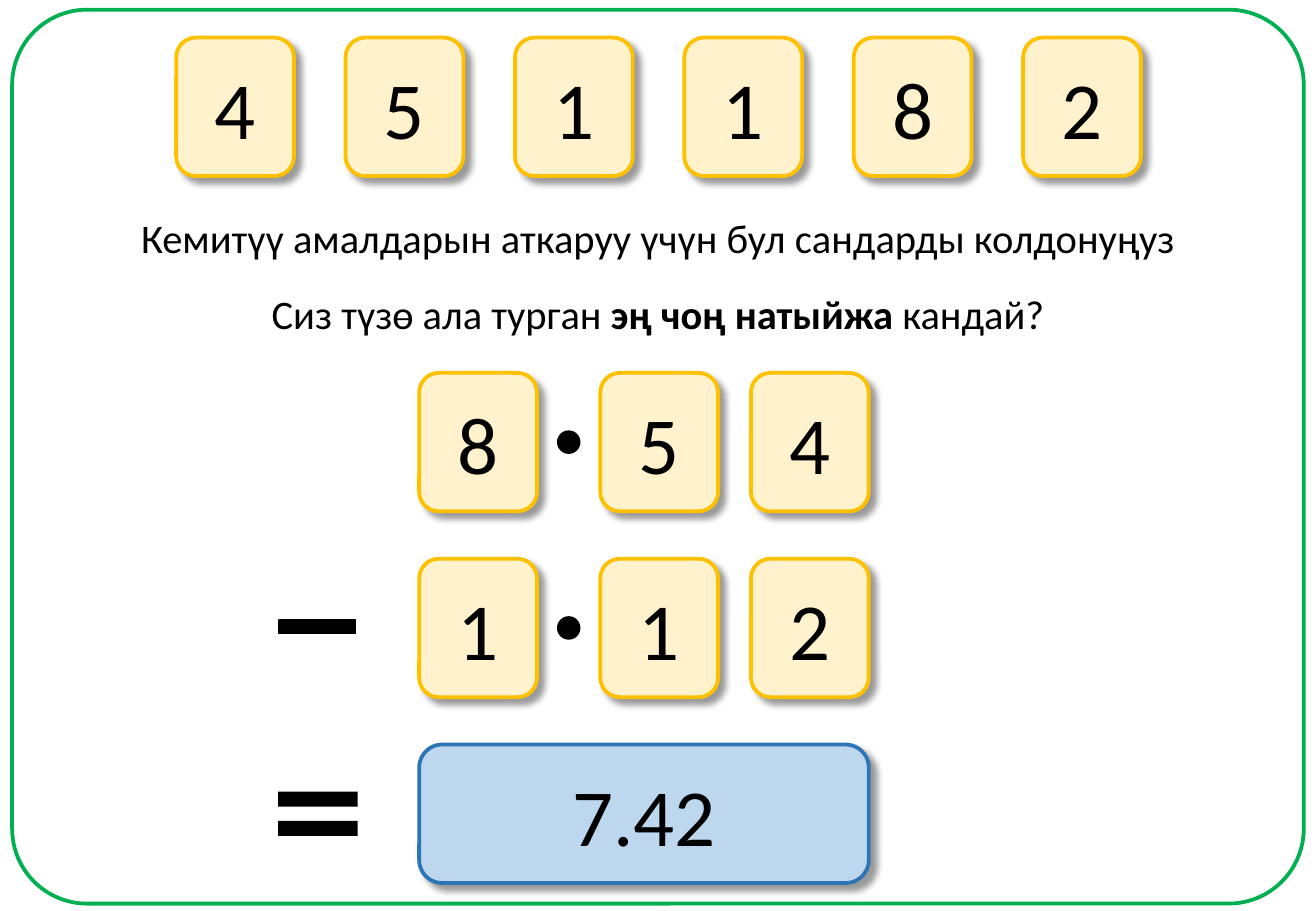
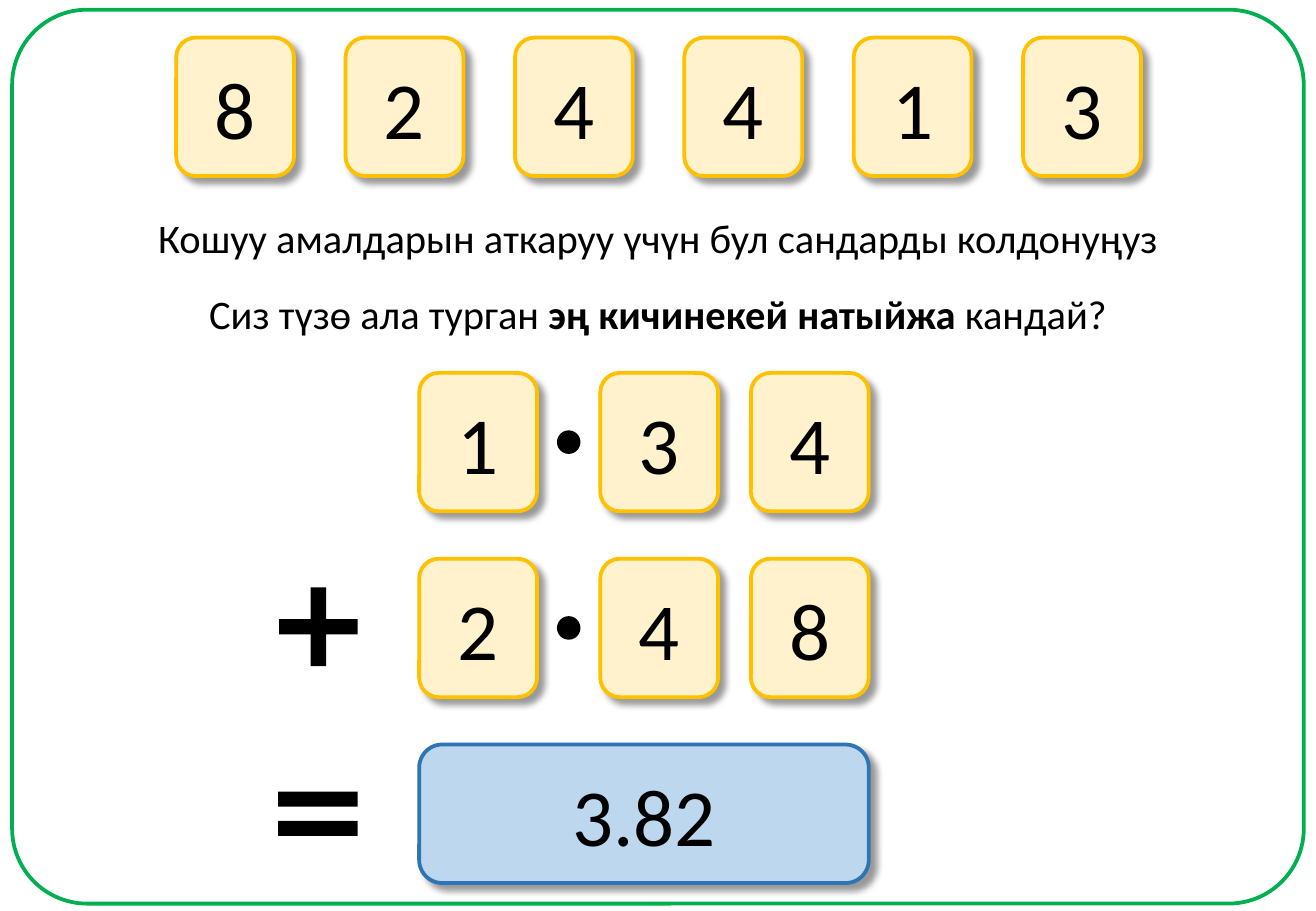
from pptx import Presentation
from pptx.dml.color import RGBColor
from pptx.enum.shapes import MSO_SHAPE
from pptx.enum.text import MSO_ANCHOR, MSO_AUTO_SIZE, PP_ALIGN
from pptx.oxml import parse_xml
from pptx.oxml.ns import nsdecls, qn
from pptx.util import Inches, Pt

BLACK = RGBColor(0x00, 0x00, 0x00)
GREEN = RGBColor(0x00, 0xB0, 0x50)
CREAM = RGBColor(0xFF, 0xF2, 0xCC)
AMBER = RGBColor(0xFF, 0xC0, 0x00)
PALE_BLUE = RGBColor(0xBD, 0xD7, 0xEE)
DARK_BLUE = RGBColor(0x2E, 0x75, 0xB6)

SLIDE_WIDTH, SLIDE_HEIGHT = 10.83, 7.5
CARD_WIDTH, CARD_HEIGHT = 0.97, 1.14
BANK_LEFT, BANK_TOP, BANK_PITCH = 1.45, 0.31, 1.394
DIGIT_COLUMNS = (3.45, 4.94, 6.18)
FIRST_ROW, ROW_PITCH = 3.07, 1.53
SUM_ROWS = [FIRST_ROW + ROW_PITCH * row for row in range(3)]
RESULT_WIDTH = DIGIT_COLUMNS[-1] + CARD_WIDTH - DIGIT_COLUMNS[0]
DOT_LEFT, DOT_DROP, DOT_SIZE = 4.59, 0.48, 0.18
TEXT_LEFT, TEXT_WIDTH, TEXT_HEIGHT = 0.8, SLIDE_WIDTH - 1.6, 0.5
TITLE_TOP, QUESTION_TOP = 1.7, 2.33

SHADOW = (
    f'<a:outerShdw {nsdecls("a")} blurRad="{Pt(4)}" dist="{Pt(5)}" dir="2700000" '
    'algn="tl" rotWithShape="0"><a:srgbClr val="000000">'
    '<a:alpha val="40000"/></a:srgbClr></a:outerShdw>'
)
CARD = {"fill": CREAM, "line": AMBER, "shadow": True}
RESULT = {"fill": PALE_BLUE, "line": DARK_BLUE, "shadow": True}

TASKS = [
    {
        "title": "Кемитүү амалдарын аткаруу үчүн бул сандарды колдонуңуз",
        "emphasis": "эң чоң натыйжа ",
        "bank": "451182",
        "terms": ("854", "112"),
        "result": "7.42",
        "sign": (MSO_SHAPE.MATH_MINUS, (2.18, 4.73, 0.86, 0.86)),
        "sign_format": {"line": BLACK, "weight": 1, "adjustments": (0.132,)},
    },
    {
        "title": "Кошуу амалдарын аткаруу үчүн бул сандарды колдонуңуз",
        "emphasis": "эң кичинекей натыйжа ",
        "bank": "824413",
        "terms": ("134", "248"),
        "result": "3.82",
        "sign": (MSO_SHAPE.MATH_PLUS, (2.18, 4.72, 0.88, 0.88)),
        "sign_format": {"adjustments": (0.144,)},
    },
]


def write_text(text_frame, runs, size):
    """Write one centred paragraph from (text, bold) pairs."""
    paragraph = text_frame.paragraphs[0]
    paragraph.alignment = PP_ALIGN.CENTER
    for text, bold in runs:
        run = paragraph.add_run()
        run.text = text
        run.font.color.rgb = BLACK
        for name, value in {"name": "Calibri", "size": Pt(size), "bold": bold}.items():
            setattr(run.font, name, value)


def add_figure(slide, kind, box, fill=None, line=None, weight=2.25,
               shadow=False, adjustments=(), text=""):
    shape = slide.shapes.add_shape(kind, *map(Inches, box))
    for index, value in enumerate(adjustments):
        shape.adjustments[index] = value
    if fill is None:
        shape.fill.background()
    else:
        shape.fill.solid()
        shape.fill.fore_color.rgb = fill
    if line is None:
        shape.line.fill.background()
    else:
        shape.line.color.rgb = line
        shape.line.width = Pt(weight)
    shape.shadow.inherit = False
    if shadow:
        shape._element.spPr.find(qn("a:effectLst")).append(parse_xml(SHADOW))
    if text:
        shape.text_frame.vertical_anchor = MSO_ANCHOR.MIDDLE
        write_text(shape.text_frame, [(text, False)], 48)


presentation = Presentation()
presentation.slide_width = Inches(SLIDE_WIDTH)
presentation.slide_height = Inches(SLIDE_HEIGHT)

# Shared title position
layout = presentation.slide_layouts.get_by_name("Title Only")
title_format = {"left": TEXT_LEFT, "top": TITLE_TOP,
                "width": TEXT_WIDTH, "height": TEXT_HEIGHT}
for name, value in title_format.items():
    setattr(layout.placeholders[0], name, Inches(value))

for task in TASKS:
    slide = presentation.slides.add_slide(layout)

    # Frame
    add_figure(slide, MSO_SHAPE.ROUNDED_RECTANGLE, (0.1, 0.08, 10.63, 7.36),
               line=GREEN, adjustments=(0.084,))

    # Instruction and question
    title = slide.shapes.title.text_frame
    write_text(title, [(task["title"], False)], 24)
    question = slide.shapes.add_textbox(
        *map(Inches, (TEXT_LEFT, QUESTION_TOP, TEXT_WIDTH, TEXT_HEIGHT))).text_frame
    write_text(question, [("Сиз түзө ала турган ", False), (task["emphasis"], True),
                          ("кандай?", False)], 24)
    for text_frame in (title, question):
        text_frame.word_wrap = True
        text_frame.auto_size = MSO_AUTO_SIZE.NONE
        text_frame.vertical_anchor = MSO_ANCHOR.TOP

    # Bank of digits, then the digits of the two terms
    cards = [(BANK_LEFT + BANK_PITCH * index, BANK_TOP, digit)
             for index, digit in enumerate(task["bank"])]
    for top, term in zip(SUM_ROWS, task["terms"]):
        cards += [(left, top, digit) for left, digit in zip(DIGIT_COLUMNS, term)]
        add_figure(slide, MSO_SHAPE.OVAL, (DOT_LEFT, top + DOT_DROP, DOT_SIZE, DOT_SIZE),
                   fill=BLACK, line=BLACK, weight=1)
    for left, top, digit in cards:
        add_figure(slide, MSO_SHAPE.ROUNDED_RECTANGLE,
                   (left, top, CARD_WIDTH, CARD_HEIGHT), text=digit, **CARD)

    # Signs and result
    add_figure(slide, *task["sign"], fill=BLACK, **task["sign_format"])
    add_figure(slide, MSO_SHAPE.MATH_EQUAL, (2.17, 6.2, 0.89, 1),
               fill=BLACK, adjustments=(0.123, 0.118))
    add_figure(slide, MSO_SHAPE.ROUNDED_RECTANGLE,
               (DIGIT_COLUMNS[0], SUM_ROWS[-1], RESULT_WIDTH, CARD_HEIGHT),
               text=task["result"], **RESULT)

presentation.save("out.pptx")
